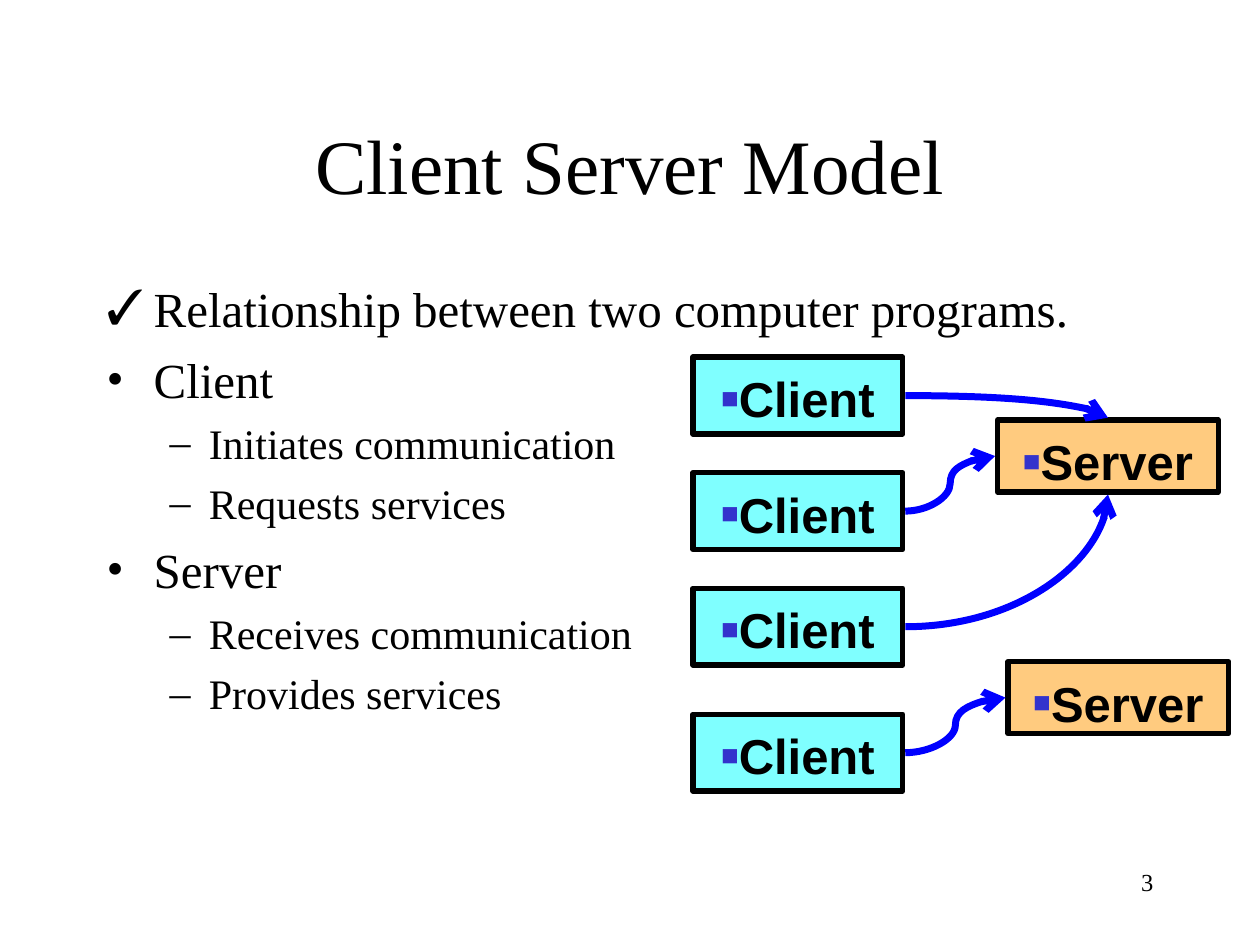
from dataclasses import dataclass

from lxml import etree
from pptx import Presentation
from pptx.dml.color import RGBColor
from pptx.enum.shapes import MSO_CONNECTOR, MSO_SHAPE
from pptx.enum.text import MSO_ANCHOR, PP_ALIGN
from pptx.oxml.ns import qn
from pptx.util import Cm, Pt

RECT, CURVE = MSO_SHAPE.RECTANGLE, MSO_CONNECTOR.CURVE
TOP, MIDDLE = MSO_ANCHOR.TOP, MSO_ANCHOR.MIDDLE
LEFT, CENTER, RIGHT = PP_ALIGN.LEFT, PP_ALIGN.CENTER, PP_ALIGN.RIGHT

COLORS = {"text": "000000", "client": "00FFFF", "server": "FF9900",
          "arrow": "0000FF", "bullet": "3333CC"}
SERIF, SANS = "Times New Roman", "Arial"
GAP = 0.05  # cm between a box edge and an arrow


@dataclass
class Box:
    text: str
    kind: str
    x: float
    y: float
    w: float
    h: float

    @property
    def mid(self) -> tuple[float, float]:
        return self.x + self.w / 2, self.y + self.h / 2


@dataclass
class Link:
    client: Box
    server: Box
    side: str


@dataclass
class Item:
    text: str
    mark: str
    level: int = 0


def color(name: str) -> RGBColor:
    return RGBColor.from_string(COLORS[name])


def style(para, size: float, align=LEFT, font: str = SERIF, bold: bool = False) -> None:
    para.alignment = align
    para.font.size = Pt(size)
    para.font.name = font
    para.font.bold = bold
    para.font.color.rgb = color("text")


def add_mark(para, mark: str, left: float, hang: float, font: str, tint: str = "text",
             scale: int = 100) -> None:
    props = para._p.get_or_add_pPr()
    props.set("marL", str(Cm(left)))
    props.set("indent", str(-Cm(hang)))
    tone = etree.Element(qn("a:buClr"))
    etree.SubElement(tone, qn("a:srgbClr"), val=COLORS[tint])
    parts = [tone,
             etree.Element(qn("a:buSzPct"), val=str(scale * 1000)),
             etree.Element(qn("a:buFont"), typeface=font),
             etree.Element(qn("a:buChar"), char=mark)]
    # Bullet parts come before the default run properties
    spot = props.find(qn("a:defRPr"))
    for part in parts:
        if spot is None:
            props.append(part)
        else:
            spot.addprevious(part)


def add_box(slide, box: Box) -> None:
    shape = slide.shapes.add_shape(RECT, Cm(box.x), Cm(box.y), Cm(box.w), Cm(box.h))
    shape.shadow.inherit = False
    shape.fill.solid()
    shape.fill.fore_color.rgb = color(box.kind)
    tone = shape._element.spPr.find(qn("a:solidFill"))[0]
    etree.SubElement(tone, qn("a:alpha"), val="50000")
    shape.line.color.rgb = color("text")
    shape.line.width = Pt(3)
    frame = shape.text_frame
    frame.word_wrap = False
    frame.vertical_anchor = TOP
    frame.margin_top = Cm(0.23)
    para = frame.paragraphs[0]
    para.text = box.text
    style(para, 28, CENTER, SANS, True)
    add_mark(para, "■", 0, 0, SANS, "bullet", 60)


def add_link(slide, link: Link) -> None:
    start, goal = link.client, link.server
    ends = {"left": (goal.x - GAP, goal.mid[1]),
            "top": (goal.mid[0], goal.y - GAP),
            "bottom": (goal.mid[0], goal.y + goal.h + GAP)}
    x, y = ends[link.side]
    line = slide.shapes.add_connector(CURVE, Cm(start.x + start.w + GAP),
                                      Cm(start.mid[1]), Cm(x), Cm(y))
    line.line.color.rgb = color("arrow")
    line.line.width = Pt(4)
    props = line._element.spPr
    if link.side != "left":
        props.find(qn("a:prstGeom")).set("prst", "curvedConnector2")
    etree.SubElement(props.find(qn("a:ln")), qn("a:tailEnd"), type="arrow")
    etree.SubElement(props, qn("a:effectLst"))


def add_list(slide, items: list[Item]) -> None:
    frame = slide.shapes.add_textbox(Cm(1.9), Cm(5.5), Cm(21.6), Cm(11.43)).text_frame
    frame.word_wrap = True
    for i, item in enumerate(items):
        para = frame.add_paragraph() if i else frame.paragraphs[0]
        para.text = item.text
        para.level = item.level
        para.space_before = Pt((6.5, 5.5)[item.level])
        style(para, (28, 24)[item.level])
        add_mark(para, item.mark, (0.95, 2.06)[item.level], (0.95, 0.79)[item.level], SERIF)


def main() -> None:
    deck = Presentation()
    deck.slide_width, deck.slide_height = Cm(25.4), Cm(19.05)
    slide = deck.slides.add_slide(deck.slide_layouts[5])

    # Title
    title = slide.shapes.title
    title.left, title.top, title.width, title.height = Cm(1.9), Cm(1.7), Cm(21.6), Cm(3.18)
    title.text_frame.vertical_anchor = MIDDLE
    title.text_frame.text = "Client Server Model"
    style(title.text_frame.paragraphs[0], 44, CENTER)

    # Bullet list
    add_list(slide, [Item("Relationship between two computer programs.", "✓"),
                     Item("Client", "•"),
                     Item("Initiates communication", "–", 1),
                     Item("Requests services", "–", 1),
                     Item("Server", "•"),
                     Item("Receives communication", "–", 1),
                     Item("Provides services", "–", 1)])

    # Boxes and arrows
    clients = [Box("Client", "client", 13.97, y, 4.23, 1.55)
               for y in (7.2, 9.53, 11.86, 14.4)]
    servers = [Box("Server", "server", x, y, 4.45, 1.45)
               for x, y in ((20.11, 8.47), (20.32, 13.34))]
    for box in clients + servers:
        add_box(slide, box)
    for client, server, side in zip(clients, (0, 0, 0, 1), ("top", "left", "bottom", "left")):
        add_link(slide, Link(client, servers[server], side))

    # Slide number
    frame = slide.shapes.add_textbox(Cm(18.2), Cm(17.35), Cm(5.3), Cm(1.27)).text_frame
    frame.word_wrap = True
    frame.paragraphs[0].text = "3"
    style(frame.paragraphs[0], 14, RIGHT)

    deck.save("out.pptx")


if __name__ == "__main__":
    main()
